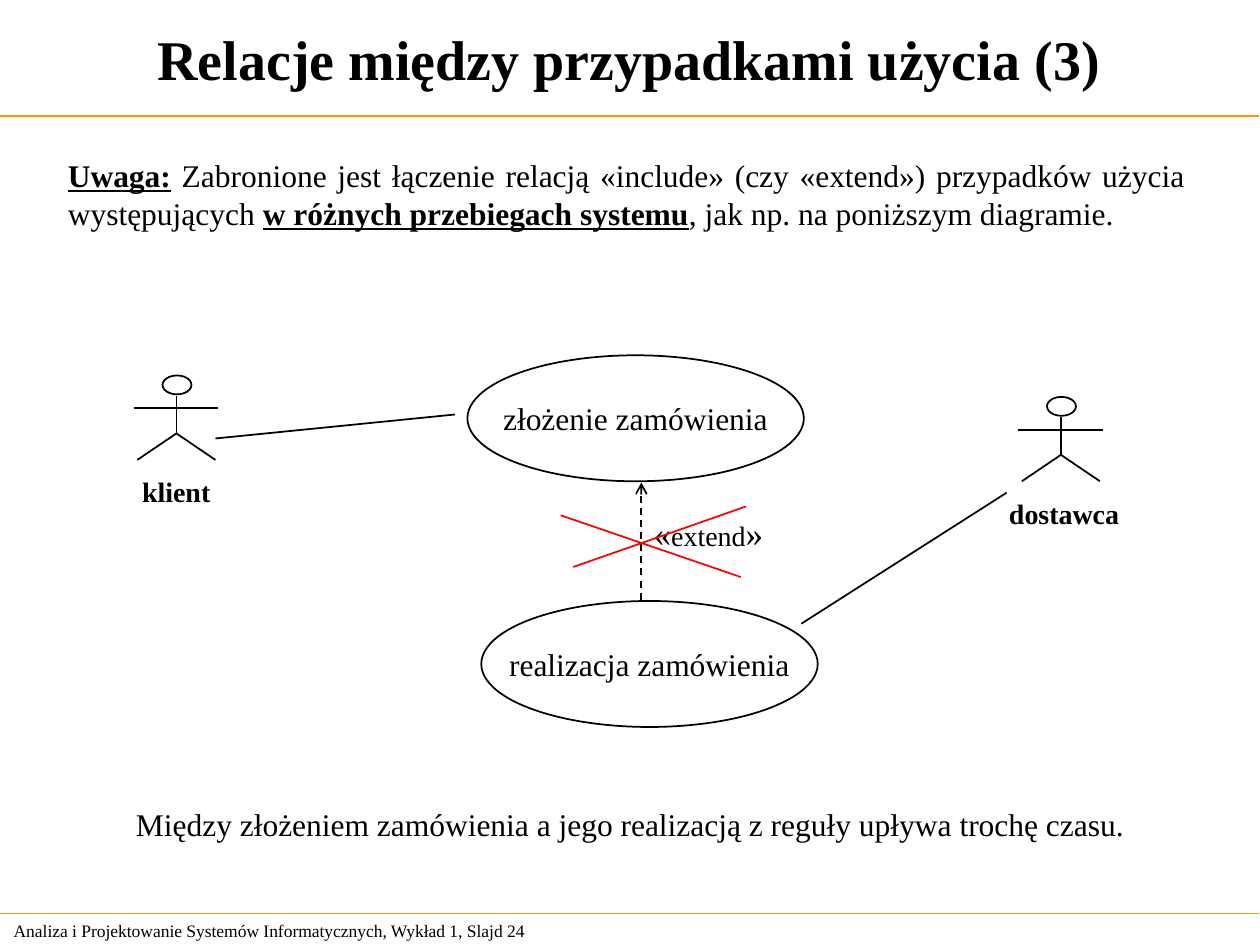
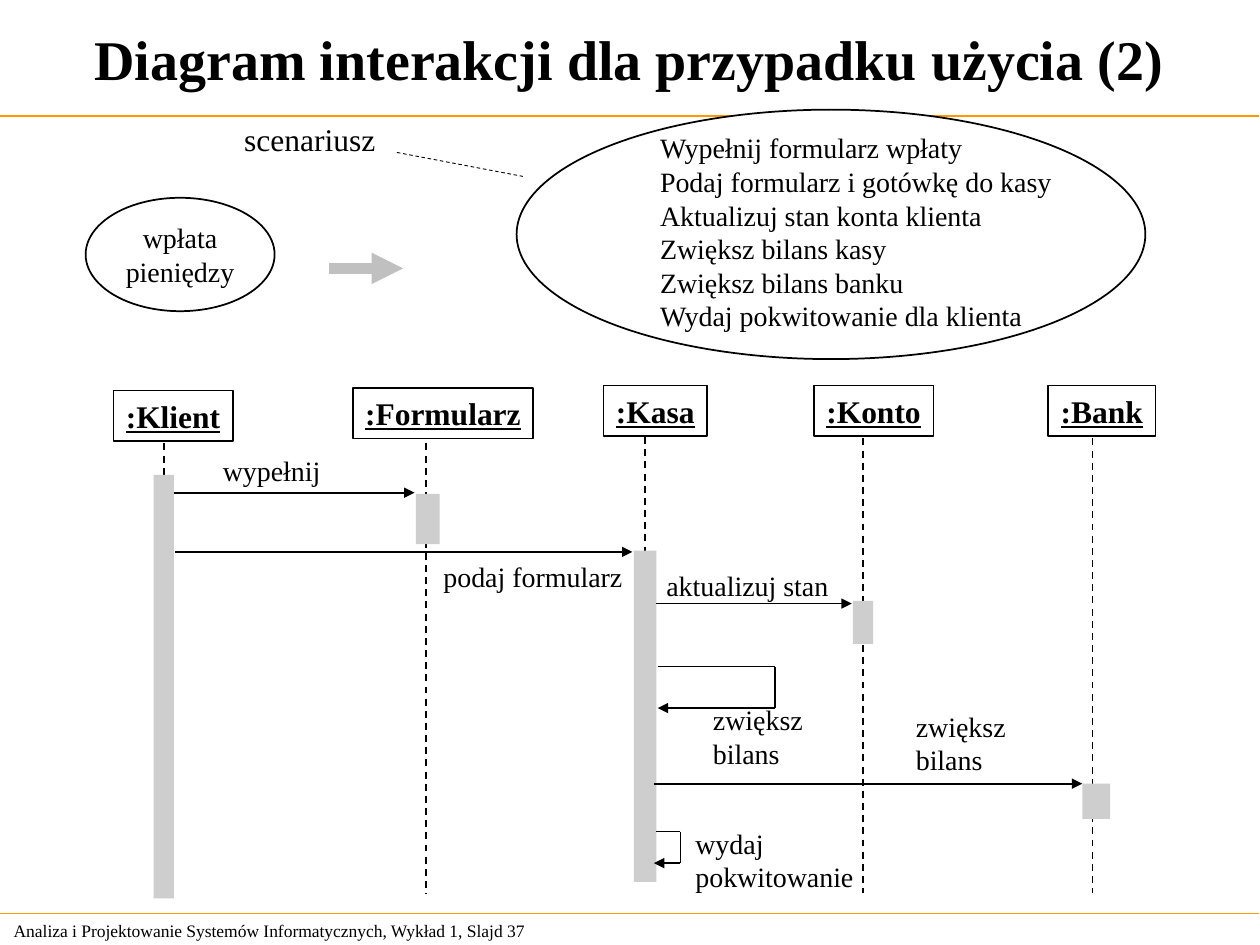
import pptx
import pptx.util
import pptx.dml.color
import pptx.enum.dml
import pptx.enum.shapes
import pptx.enum.text
import pptx.oxml
import pptx.oxml.ns

Inches = pptx.util.Inches
Pt = pptx.util.Pt
RGBColor = pptx.dml.color.RGBColor
SHAPE = pptx.enum.shapes.MSO_SHAPE
ALIGN = pptx.enum.text.PP_ALIGN
ANCHOR = pptx.enum.text.MSO_ANCHOR

BLACK = RGBColor(0x00, 0x00, 0x00)
WHITE = RGBColor(0xFF, 0xFF, 0xFF)
RED = RGBColor(0xFF, 0x00, 0x00)
ORANGE = RGBColor(0xFF, 0x99, 0x00)
SILVER = RGBColor(0xC0, 0xC0, 0xC0)
GRAY = RGBColor(0xCE, 0xCE, 0xCE)
FONT = "Times New Roman"
HEAVY = {"bold": True, "underline": True}


def draw(slide, points, color=BLACK, width=1, dash=False, tip=None):
    """Join the points with straight connectors; the last one carries the tip."""
    for start, end in zip(points, points[1:]):
        link = slide.shapes.add_connector(
            pptx.enum.shapes.MSO_CONNECTOR.STRAIGHT,
            *[Inches(value) for value in start + end])
        link.line.color.rgb = color
        link.line.width = Pt(width)
        if dash:
            link.line.dash_style = pptx.enum.dml.MSO_LINE.DASH
        props = link._element.spPr
        props.append(pptx.oxml.parse_xml(
            "<a:effectLst %s/>" % pptx.oxml.ns.nsdecls("a")))
    if tip:
        link.line._get_or_add_ln().append(pptx.oxml.parse_xml(
            '<a:tailEnd %s type="%s"/>' % (pptx.oxml.ns.nsdecls("a"), tip)))
    return link


def put(slide, at, lines=(), size=16, kind=None, fill=None, edge=BLACK,
        align=ALIGN.LEFT, anchor=ANCHOR.TOP, **style):
    """Add a text box, or a shape if kind is given; a line is a string or runs."""
    place = [Inches(value) for value in at]
    if kind is None:
        shape = slide.shapes.add_textbox(*place)
    else:
        shape = slide.shapes.add_shape(kind, *place)
        shape.shadow.inherit = False
        if fill is None:
            shape.fill.background()
        else:
            shape.fill.solid()
            shape.fill.fore_color.rgb = fill
        if edge is None:
            shape.line.fill.background()
        else:
            shape.line.color.rgb = edge
            shape.line.width = Pt(1)
    if not lines:
        return shape
    frame = shape.text_frame
    frame.auto_size = pptx.enum.text.MSO_AUTO_SIZE.NONE
    frame.vertical_anchor = anchor
    frame.word_wrap = align != ALIGN.CENTER
    if align == ALIGN.LEFT:  # spare room keeps tight labels on one line
        frame.margin_right = 0
    for index, line in enumerate(lines):
        para = frame.add_paragraph() if index else frame.paragraphs[0]
        para.alignment = align
        for text, extra in [(line, {})] if isinstance(line, str) else line:
            run = para.add_run()
            run.text = text
            run.font.color.rgb = BLACK
            look = {"name": FONT, "size": Pt(size), **style, **extra}
            for name, value in look.items():
                setattr(run.font, name, value)
    return shape


deck = pptx.Presentation()
deck.slide_width = Inches(10)
deck.slide_height = Inches(7.5)

# Shared title, rules and footer
pages = []
for title, number in [("Relacje między przypadkami użycia (3)", 24),
                      ("Diagram interakcji dla przypadku użycia (2)", 37)]:
    page = deck.slides.add_slide(deck.slide_layouts[6])
    for y in (0.92, 7.25):
        draw(page, [(0, y), (9.99, y)], ORANGE, 0.75)
    put(page, (0, 0, 9.99, 0.92), [title], 32, align=ALIGN.CENTER,
        anchor=ANCHOR.MIDDLE, bold=True)
    put(page, (0.01, 7.25, 4.75, 0.27),
        [f"Analiza i Projektowanie Systemów Informatycznych, Wykład 1, Slajd {number}"],
        10, anchor=ANCHOR.MIDDLE)
    pages.append(page)
cases, flow = pages

# Use cases
put(cases, (0.44, 1.19, 9.07, 0.7), [[
    ("Uwaga:", HEAVY),
    (" Zabronione jest łączenie relacją «include» (czy «extend») "
     "przypadków użycia występujących ", {}),
    ("w różnych przebiegach systemu", HEAVY),
    (", jak np. na poniższym diagramie.", {}),
]], 18, align=ALIGN.JUSTIFY)

for name, x, y, box in [("klient", 1.4, 2.98, (1.03, 3.72, 0.74, 0.36)),
                        ("dostawca", 8.42, 3.15, (7.91, 3.89, 1.07, 0.36))]:
    put(cases, box, [name], bold=True)
    put(cases, (x - 0.11, y, 0.23, 0.15), kind=SHAPE.OVAL)
    hip = (x, y + 0.46)
    draw(cases, [(x, y + 0.16), hip])
    draw(cases, [(x - 0.34, y + 0.26), (x + 0.33, y + 0.26)])
    draw(cases, [(x - 0.31, y + 0.67), hip, (x + 0.31, y + 0.67)])

for name, x, y in [("złożenie zamówienia", 3.71, 2.82),
                   ("realizacja zamówienia", 3.82, 4.77)]:
    put(cases, (x, y, 2.67, 1), [name], 18, SHAPE.OVAL, WHITE,
        align=ALIGN.CENTER, anchor=ANCHOR.MIDDLE)

draw(cases, [(1.71, 3.48), (3.61, 3.29)])
draw(cases, [(7.99, 3.91), (6.36, 4.95)])
draw(cases, [(5.09, 4.76), (5.09, 3.83)], dash=True, tip="arrow")
put(cases, (5.09, 4.01, 1.07, 0.44),
    [[("«", {}), ("extend", {"size": Pt(16)}), ("»", {})]], 20)
put(cases, (0.98, 6.34, 8.05, 0.4),
    ["Między złożeniem zamówienia a jego realizacją z reguły upływa trochę czasu."],
    18)
draw(cases, [(4.45, 4.09), (5.88, 4.58)], RED)
draw(cases, [(4.55, 4.5), (5.92, 4.02)], RED)

# Scenario
put(flow, (0.68, 1.57, 1.5, 0.9), ["wpłata", "pieniędzy"], kind=SHAPE.OVAL,
    align=ALIGN.CENTER, anchor=ANCHOR.MIDDLE)
draw(flow, [(2.61, 2.13), (3.2, 2.13)], SILVER, 6, tip="triangle")
put(flow, (4.1, 0.87, 4.99, 1.98), kind=SHAPE.OVAL, fill=WHITE)
put(flow, (5.14, 0.99, 3.76, 1.7), [
    "Wypełnij formularz wpłaty",
    "Podaj formularz i gotówkę do kasy",
    "Aktualizuj stan konta klienta",
    "Zwiększ bilans kasy",
    "Zwiększ bilans banku",
    "Wydaj pokwitowanie dla klienta",
])
put(flow, (1.84, 0.9, 1.24, 0.4), ["scenariusz"], 18)
draw(flow, [(3.15, 1.21), (4.15, 1.4)], width=0.5, dash=True)

# Objects: name, head box, lifeline x, top and end, activation bar
for name, head, x, top, end, bar in [
    (":Klient", (0.9, 3.1, 0.95), 1.3, 3.52, 3.77, (1.22, 3.77, 0.16, 3.36)),
    (":Formularz", (2.8, 3.08, 1.43), 3.38, 3.52, 7.09, (3.3, 3.92, 0.19, 0.4)),
    (":Kasa", (4.79, 3.06, 0.82), 5.12, 3.47, 4.37, (5.03, 4.37, 0.18, 2.63)),
    (":Konto", (6.46, 3.06, 0.95), 6.85, 3.48, 7.09, (6.77, 4.77, 0.16, 0.34)),
    (":Bank", (8.32, 3.06, 0.85), 8.67, 3.48, 7.09, (8.59, 6.22, 0.22, 0.28)),
]:
    put(flow, head + (0.4,), [name], 18, SHAPE.RECTANGLE, **HEAVY)
    life = draw(flow, [(x, top), (x, end)], dash=True)
    block = put(flow, bar, kind=SHAPE.RECTANGLE, fill=GRAY, edge=None)
    if end == bar[1]:
        life.end_connect(block, 0)

# Messages
for route in [
    [(1.38, 3.91), (3.29, 3.91)],
    [(1.39, 4.38), (5.02, 4.38)],
    [(5.21, 4.79), (6.76, 4.79)],
    [(5.22, 5.29), (6.15, 5.29), (6.15, 5.62), (5.22, 5.62)],
    [(5.19, 6.22), (8.59, 6.22)],
    [(5.21, 6.6), (5.4, 6.6), (5.4, 6.85), (5.19, 6.85)],
]:
    draw(flow, route, tip="triangle")

for lines, box in [
    (["wypełnij"], (1.67, 3.55, 0.97, 0.37)),
    (["podaj formularz"], (3.42, 4.39, 1.62, 0.37)),
    (["aktualizuj stan"], (5.19, 4.46, 1.48, 0.37)),
    (["zwiększ", "bilans"], (5.56, 5.53, 0.91, 0.64)),
    (["zwiększ", "bilans"], (7.17, 5.58, 0.91, 0.64)),
    (["wydaj", "pokwitowanie"], (5.42, 6.51, 1.45, 0.64)),
]:
    put(flow, box, lines)

deck.save("out.pptx")
